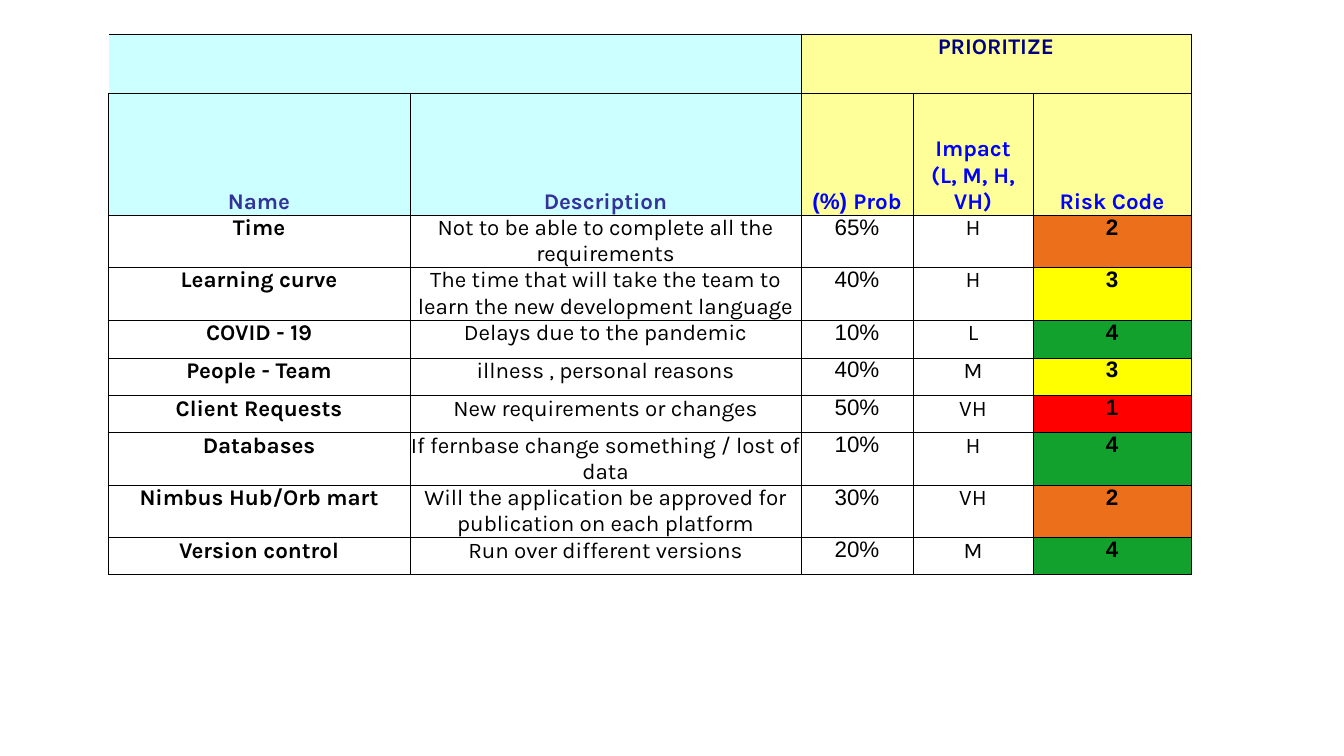
import pptx
import pptx.util
import pptx.dml.color
import pptx.enum.text
import pptx.oxml
import pptx.oxml.ns
from lxml import etree

PX = 9071
COLORS = {
    "black": "000000", "navy": "000080", "indigo": "333399", "blue": "0000FF",
    "cyan": "CCFFFF", "cream": "FFFF99",
    "1": "FF0000", "2": "EC701C", "3": "FFFF00", "4": "13A12E",
}
COLUMN_WIDTHS = [302, 391, 112, 120, 158]
ROW_HEIGHTS = [59, 122, 37, 37, 38, 38, 37, 37, 38, 37]
HEADERS = [
    ("Name", "indigo", "cyan"),
    ("Description", "indigo", "cyan"),
    ("Prob (%)", "blue", "cream"),
    ("Impact\v(L, M, H, VH)", "blue", "cream"),
    ("Risk Code", "blue", "cream"),
]
RISKS = [
    ("Time", "Not to be able to complete all the requirements", "65%", "H", "2"),
    ("Learning curve", "The time that will take the team to learn the new development language",
     "40%", "H", "3"),
    ("COVID - 19", "Delays due to the pandemic", "10%", "L", "4"),
    ("People - Team", "illness , personal reasons", "40%", "M", "3"),
    ("Client Requests", "New requirements or changes", "50%", "VH", "1"),
    ("Databases", "If fernbase change something / lost of data", "10%", "H", "4"),
    ("Nimbus Hub/Orb mart", "Will the application be approved for publication on each platform",
     "30%", "VH", "2"),
    ("Version control", "Run over different versions", "20%", "M", "4"),
]


def px(value):
    return pptx.util.Emu(value * PX)


def rgb(name):
    return pptx.dml.color.RGBColor.from_string(COLORS[name])


def style_cell(cell, fill=None, sides="LRTB"):
    properties = cell._tc.get_or_add_tcPr()
    for side in sides:
        border = etree.SubElement(properties, pptx.oxml.ns.qn(f"a:ln{side}"), w="6350")
        solid = etree.SubElement(border, pptx.oxml.ns.qn("a:solidFill"))
        etree.SubElement(solid, pptx.oxml.ns.qn("a:srgbClr"), val=COLORS["black"])
    if fill:
        cell.fill.solid()
        cell.fill.fore_color.rgb = rgb(fill)
    else:
        cell.fill.background()
    cell.margin_left = cell.margin_right = cell.margin_top = cell.margin_bottom = 0


def write_cell(cell, text, color="black", bold=False, font="Karla", bottom=False):
    anchors = pptx.enum.text.MSO_ANCHOR
    cell.vertical_anchor = anchors.BOTTOM if bottom else anchors.TOP
    cell.text_frame.text = text
    paragraph = cell.text_frame.paragraphs[0]
    paragraph.alignment = pptx.enum.text.PP_ALIGN.CENTER
    paragraph._p.get_or_add_pPr().set("rtl", "1")
    for run in paragraph.runs:
        run.font.size = pptx.util.Pt(16)
        run.font.name = font
        run.font.bold = bold
        run.font.color.rgb = rgb(color)
        etree.SubElement(run._r.get_or_add_rPr(), pptx.oxml.ns.qn("a:cs"), typeface="Arial")


def add_risk_table(slide):
    frame = slide.shapes.add_table(
        len(ROW_HEIGHTS), len(COLUMN_WIDTHS), px(108), px(34),
        px(sum(COLUMN_WIDTHS)), px(sum(ROW_HEIGHTS)))
    table = frame.table
    table.first_row = False
    table.horz_banding = False
    for column, width in zip(table.columns, COLUMN_WIDTHS):
        column.width = px(width)
    for row, height in zip(table.rows, ROW_HEIGHTS):
        row.height = px(height)
    return table


def fill_headers(table):
    for index, (text, color, fill) in enumerate(HEADERS):
        style_cell(table.cell(0, index), fill, "RTB" if index == 0 else "LRTB")
        style_cell(table.cell(1, index), fill)
        write_cell(table.cell(1, index), text, color, bold=True, bottom=True)
    table.cell(0, 0).merge(table.cell(0, 1))
    table.cell(0, 2).merge(table.cell(0, 4))
    write_cell(table.cell(0, 2), "PRIORITIZE", "navy", bold=True)


def fill_risks(table):
    for row, risk in enumerate(RISKS, start=2):
        for column, text in enumerate(risk):
            cell = table.cell(row, column)
            is_code = column == 4
            style_cell(cell, text if is_code else None)
            write_cell(cell, text, bold=column in (0, 4), font="Arial" if is_code else "Karla")


def main():
    presentation = pptx.Presentation()
    presentation.slide_width = px(1344)
    presentation.slide_height = px(756)
    slide = presentation.slides.add_slide(presentation.slide_layouts[6])
    table = add_risk_table(slide)
    fill_headers(table)
    fill_risks(table)
    presentation.save("out.pptx")


if __name__ == "__main__":
    main()
